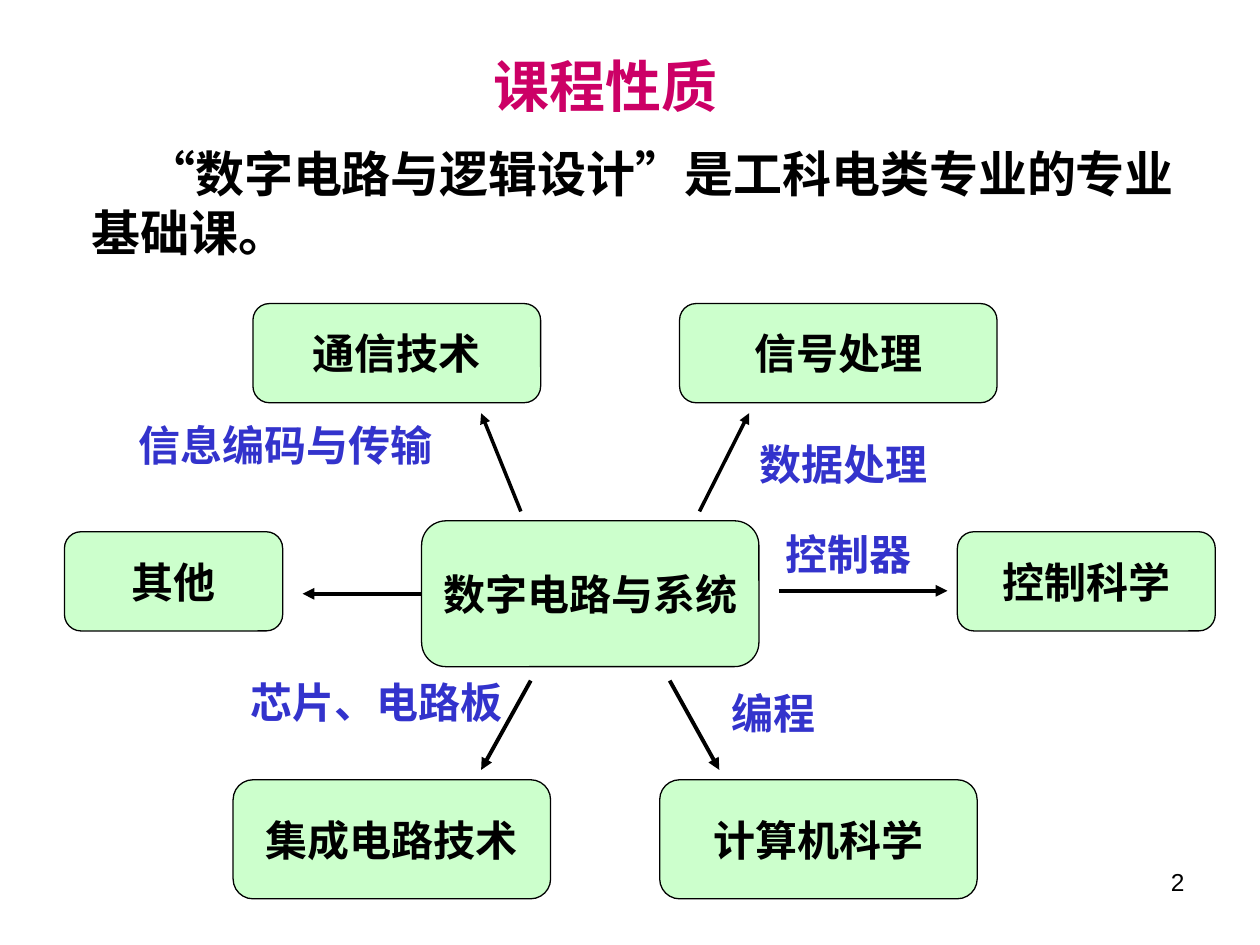
"""Build the course overview slide with a hub-and-spoke diagram."""
from lxml.etree import SubElement
from pptx import Presentation
from pptx.dml.color import RGBColor
from pptx.enum.shapes import MSO_CONNECTOR, MSO_SHAPE
from pptx.enum.text import MSO_ANCHOR, MSO_AUTO_SIZE, PP_ALIGN
from pptx.oxml.ns import qn
from pptx.util import Cm, Pt

COLORS = {"title": "CC0066", "text": "000000", "label": "3333CC", "box": "CCFFCC", "line": "000000"}

TITLE = ("课程性质", (9.7, 0.91, 9, 1.63))
INTRO = ("“数字电路与逻辑设计”是工科电类专业的专业基础课。", (1.6, 2.77, 22.43, 2.64))
PAGE_NUMBER = ("2", (18.21, 17.35, 5.92, 1.32))
INTRO_INDENT = 1.1

HUB = "数字电路与系统"
OTHER = "其他"
TOP_ROW, MIDDLE_ROW, BOTTOM_ROW = (6.12, 2), (10.72, 2), (15.72, 2.4)
BOXES = [
    (HUB, 8.5, 6.8, (10.5, 2.94), "Times New Roman"),
    ("通信技术", 5.1, 5.8, TOP_ROW, "Times New Roman"),
    ("信号处理", 13.7, 6.4, TOP_ROW, "Arial"),
    (OTHER, 1.3, 4.4, MIDDLE_ROW, "Arial"),
    ("控制科学", 19.3, 5.2, MIDDLE_ROW, "Arial"),
    ("集成电路技术", 4.7, 6.4, BOTTOM_ROW, "Arial"),
    ("计算机科学", 13.3, 6.4, BOTTOM_ROW, "Arial"),
]
LABEL_HEIGHT = 1.27
LABELS = [
    ("信息编码与传输", 1.3, 8.33, 8.9),
    ("数据处理", 14.3, 8.71, 5.4),
    ("控制器", 15.1, 10.52, 4),
    ("编程", 13.1, 13.72, 5),
    ("芯片、电路板", 4.1, 13.51, 7),
]
ARROWS = [
    ((10.5, 10.31), (9.7, 8.33), 2),
    ((14.1, 10.31), (15.1, 8.33), 2),
    ((15.7, 11.91), (19.1, 11.91), 2.25),
    ((13.5, 13.72), (14.5, 15.52), 2.25),
    ((10.7, 13.72), (9.7, 15.52), 2.25),
]
OTHER_ARROW = ((8.5, 11.97), (6.1, 11.97), 2.25)


def apply(target, values):
    for name, value in values.items():
        setattr(target, name, value)


def write(shape, text, size, color, font="Arial", bold=True, align=PP_ALIGN.CENTER, **frame_format):
    frame = shape.text_frame
    apply(frame, {
        "word_wrap": True, "auto_size": MSO_AUTO_SIZE.NONE, "vertical_anchor": MSO_ANCHOR.TOP,
        "margin_left": Cm(0.25), "margin_right": Cm(0.25),
        "margin_top": Cm(0.13), "margin_bottom": Cm(0.13), **frame_format,
    })
    paragraph = frame.paragraphs[0]
    paragraph.alignment = align
    run = paragraph.add_run()
    run.text = text
    apply(run.font, {"name": font, "size": Pt(size), "bold": bold})
    run.font.color.rgb = RGBColor.from_string(COLORS[color])
    return paragraph


def add_text(slide, text, position, *style, **options):
    shape = slide.shapes.add_textbox(*map(Cm, position))
    return write(shape, text, *style, **options)


def add_box(slide, text, left, width, row, font):
    top, height = row
    shape = slide.shapes.add_shape(MSO_SHAPE.ROUNDED_RECTANGLE, *map(Cm, (left, top, width, height)))
    shape.shadow.inherit = False
    shape.fill.solid()
    shape.fill.fore_color.rgb = RGBColor.from_string(COLORS["box"])
    shape.line.color.rgb = RGBColor.from_string(COLORS["line"])
    shape.line.width = Pt(0.75)
    write(shape, text, 24, "text", font, word_wrap=False, vertical_anchor=MSO_ANCHOR.MIDDLE,
          margin_left=0, margin_right=0)
    return shape


def add_arrow(slide, start, end, width):
    arrow = slide.shapes.add_connector(MSO_CONNECTOR.STRAIGHT, *map(Cm, start + end))
    arrow.line.color.rgb = RGBColor.from_string(COLORS["line"])
    arrow.line.width = Pt(width)
    SubElement(arrow.line._get_or_add_ln(), qn("a:tailEnd"), type="triangle")
    SubElement(arrow._element.spPr, qn("a:effectLst"))
    return arrow


def main():
    presentation = Presentation()
    apply(presentation, {"slide_width": Cm(25.4), "slide_height": Cm(19.05)})
    slide = presentation.slides.add_slide(presentation.slide_layouts[5])

    title_text, position = TITLE
    title = slide.shapes.title
    apply(title, dict(zip(("left", "top", "width", "height"), map(Cm, position))))
    write(title, title_text, 32, "title", align=PP_ALIGN.LEFT)

    intro = add_text(slide, *INTRO, 28, "text", align=PP_ALIGN.LEFT)
    intro._p.get_or_add_pPr().set("indent", str(Cm(INTRO_INDENT)))

    boxes = {box[0]: add_box(slide, *box) for box in BOXES}
    for text, left, top, width in LABELS:
        add_text(slide, text, (left, top, width, LABEL_HEIGHT), 24, "label", "Times New Roman")
    for arrow in ARROWS:
        add_arrow(slide, *arrow)
    add_arrow(slide, *OTHER_ARROW).begin_connect(boxes[HUB], 1)

    add_text(slide, *PAGE_NUMBER, 14, "text", bold=False, align=PP_ALIGN.RIGHT)
    presentation.save("out.pptx")


if __name__ == "__main__":
    main()
